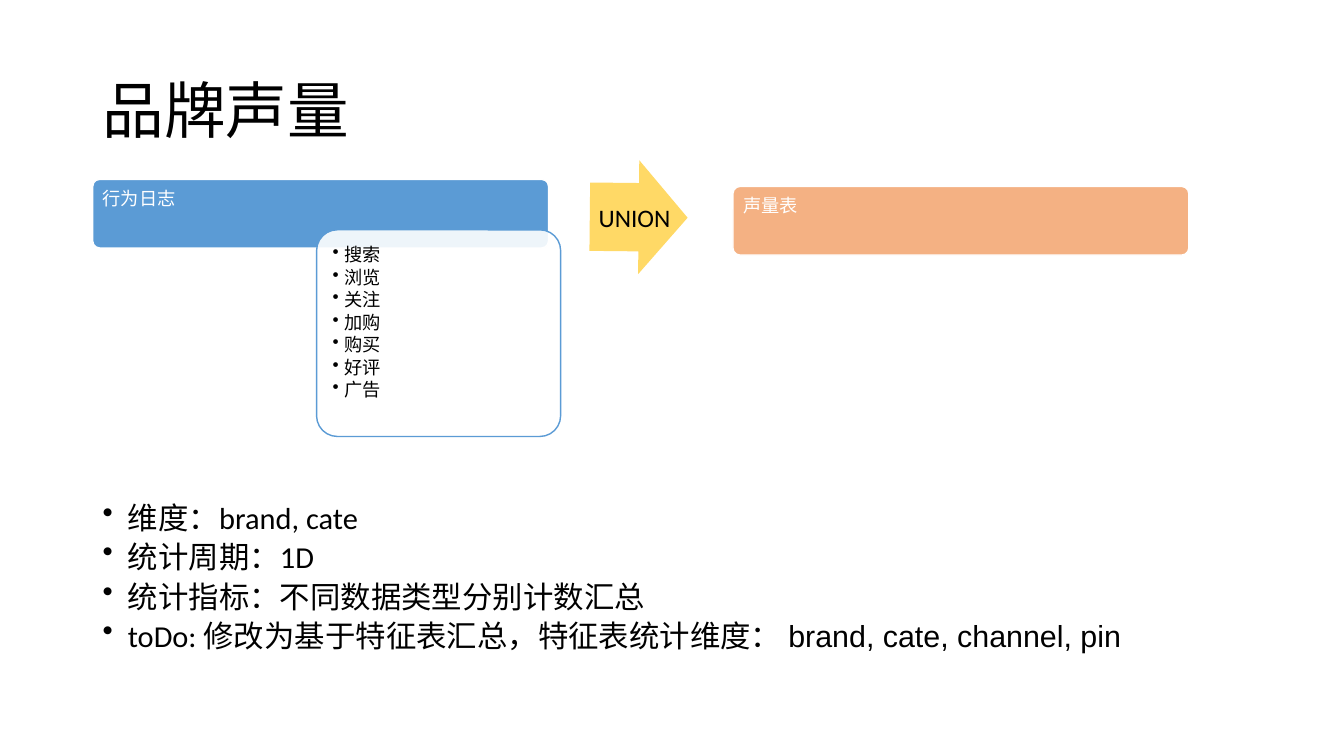
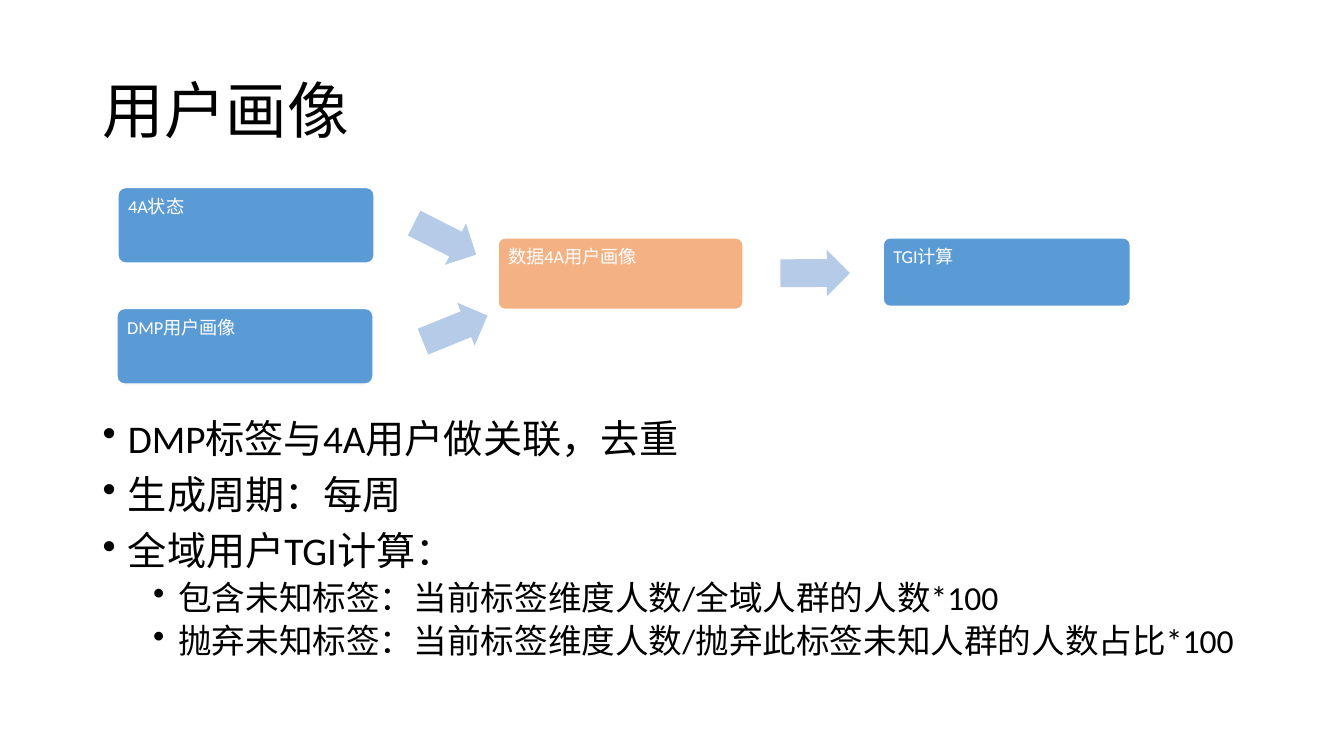
from lxml import etree
from pptx import Presentation
from pptx.dml.color import RGBColor
from pptx.enum import shapes, text
from pptx.oxml import ns
from pptx.util import Inches, Pt

BLACK, WHITE = "000000", "FFFFFF"
BLUE, ORANGE, YELLOW, PALE_BLUE = "5B9BD5", "F4B183", "FFD966", "B5CBE7"
LATIN, SANS = "Calibri", "Arial"


def color(value):
    """Return the RGB colour of a hex string."""
    return RGBColor.from_string(value)


def set_frame(frame, inset=(0.1, 0.05), anchor=text.MSO_ANCHOR.TOP):
    """Set wrapping, horizontal and vertical insets, and anchor."""
    frame.word_wrap = True
    frame.margin_left = frame.margin_right = Inches(inset[0])
    frame.margin_top = frame.margin_bottom = Inches(inset[1])
    frame.vertical_anchor = anchor


def add_paragraph(frame, content, size, font=LATIN, ink=BLACK, spacing=0.9,
                  before=0, after=0):
    """Write the next paragraph into a frame and return it."""
    first = frame.paragraphs[0]
    paragraph = frame.add_paragraph() if first.runs else first
    paragraph.add_run().text = content
    paragraph.alignment = text.PP_ALIGN.LEFT
    paragraph.line_spacing = spacing
    paragraph.space_before, paragraph.space_after = Pt(before), Pt(after)
    paragraph.font.size = Pt(size)
    paragraph.font.name = font
    paragraph.font.color.rgb = color(ink)
    return paragraph


def add_bullet(frame, content, size, indent=0.25, hanging=0.25, **style):
    """Write a bulleted paragraph with a hanging indent."""
    paragraph = add_paragraph(frame, content, size, **style)
    properties = paragraph._p.get_or_add_pPr()
    properties.set("marL", str(Inches(indent)))
    properties.set("indent", str(-Inches(hanging)))
    mark = etree.Element(ns.qn("a:buChar"), char="•")
    properties.insert_element_before(mark, "a:tabLst", "a:defRPr", "a:extLst")
    return paragraph


def add_text_box(slide, box, **layout):
    """Add a wrapping text box and return its frame."""
    frame = slide.shapes.add_textbox(*map(Inches, box)).text_frame
    set_frame(frame, **layout)
    return frame


def add_filled(slide, kind, box, fill, outline=None):
    """Add a flat preset shape with an optional thin outline."""
    shape = slide.shapes.add_shape(kind, *map(Inches, box))
    shape.shadow.inherit = False
    shape.fill.solid()
    shape.fill.fore_color.rgb = color(fill)
    if outline:
        shape.line.color.rgb = color(outline)
        shape.line.width = Pt(1)
    else:
        shape.line.fill.background()
    return shape


def add_card(slide, box, fill, outline=WHITE):
    """Add a slightly rounded card."""
    card = add_filled(slide, shapes.MSO_SHAPE.ROUNDED_RECTANGLE, box, fill, outline)
    card.adjustments[0] = 0.1
    return card


def add_step(slide, label, box, fill=BLUE):
    """Add a card with a white label in its top left corner."""
    frame = add_card(slide, box, fill).text_frame
    set_frame(frame, inset=(0.08, 0.08))
    add_paragraph(frame, label, 13, ink=WHITE)


def add_arrow(slide, box, rotation, fill=PALE_BLUE):
    """Add a rotated block arrow."""
    arrow = add_filled(slide, shapes.MSO_SHAPE.RIGHT_ARROW, box, fill)
    arrow.adjustments[0], arrow.adjustments[1] = 0.6, 0.5
    arrow.rotation = rotation


def add_behaviours(slide, box, behaviours):
    """Add the translucent card that lists the behaviours."""
    card = add_card(slide, box, WHITE, BLUE)
    fill = card.fill._xPr.find(ns.qn("a:solidFill"))
    etree.SubElement(fill[0], ns.qn("a:alpha"), val="90000")
    set_frame(card.text_frame, inset=(0.1, 0.1))
    for behaviour in behaviours:
        add_bullet(card.text_frame, behaviour, 13, indent=0.12, hanging=0.12, after=2)


def add_titled_slide(deck, title, font=LATIN):
    """Add a blank slide with the shared title."""
    slide = deck.slides.add_slide(deck.slide_layouts[6])
    frame = add_text_box(slide, (0.92, 0.4, 11.5, 1.45), anchor=text.MSO_ANCHOR.MIDDLE)
    add_paragraph(frame, title, 44, font=font)
    return slide


def build_brand_volume(deck):
    """Build the brand volume slide."""
    slide = add_titled_slide(deck, "品牌声量", SANS)
    add_step(slide, "行为日志", (0.92, 1.78, 4.52, 0.68))
    add_behaviours(slide, (3.14, 2.28, 2.42, 2.05),
                   ("搜索", "浏览", "关注", "加购", "购买", "好评", "广告"))
    add_arrow(slide, (5.85, 1.59, 0.97, 1.13), 0.6, YELLOW)
    add_step(slide, "声量表", (7.27, 1.85, 4.52, 0.68), ORANGE)
    union = add_text_box(slide, (5.84, 1.96, 1.03, 0.4))
    add_paragraph(union, "UNION", 18, spacing=1.0)

    notes = add_text_box(slide, (0.92, 5, 11.5, 1.76))
    for note in ("维度：brand, cate", "统计周期：1D", "统计指标：不同数据类型分别计数汇总",
                 "toDo: 修改为基于特征表汇总，特征表统计维度："):
        last = add_bullet(notes, note, 21.7, spacing=0.7, before=10)
    dimensions = last.add_run()
    dimensions.text = " brand, cate, channel, pin"
    dimensions.font.name = SANS


def build_user_profile(deck):
    """Build the user profile slide."""
    slide = add_titled_slide(deck, "用户画像")
    add_step(slide, "4A状态", (1.17, 1.86, 2.54, 0.75))
    add_step(slide, "DMP用户画像", (1.16, 3.06, 2.54, 0.75))
    add_step(slide, "数据4A用户画像", (4.94, 2.36, 2.43, 0.71), ORANGE)
    add_step(slide, "TGI计算", (8.76, 2.36, 2.45, 0.68))
    for left, top, rotation in ((4.07, 2.14, 26.9), (4.17, 3.03, 337.9),
                                (7.74, 2.48, 359.8)):
        add_arrow(slide, (left, top, 0.69, 0.46), rotation)

    notes = add_text_box(slide, (0.92, 4.11, 11.49, 3.26))
    for note in ("DMP标签与4A用户做关联，去重", "生成周期：每周", "全域用户TGI计算："):
        add_bullet(notes, note, 28, before=10)
    for formula in ("包含未知标签：当前标签维度人数/全域⼈群的人数*100",
                    "抛弃未知标签：当前标签维度人数/抛弃此标签未知⼈群的人数占比*100"):
        add_bullet(notes, formula, 24, indent=0.75, before=5).level = 1


def main():
    """Build and save the deck."""
    deck = Presentation()
    deck.slide_width, deck.slide_height = Inches(13.33), Inches(7.5)
    build_brand_volume(deck)
    build_user_profile(deck)
    deck.save("out.pptx")


main()
